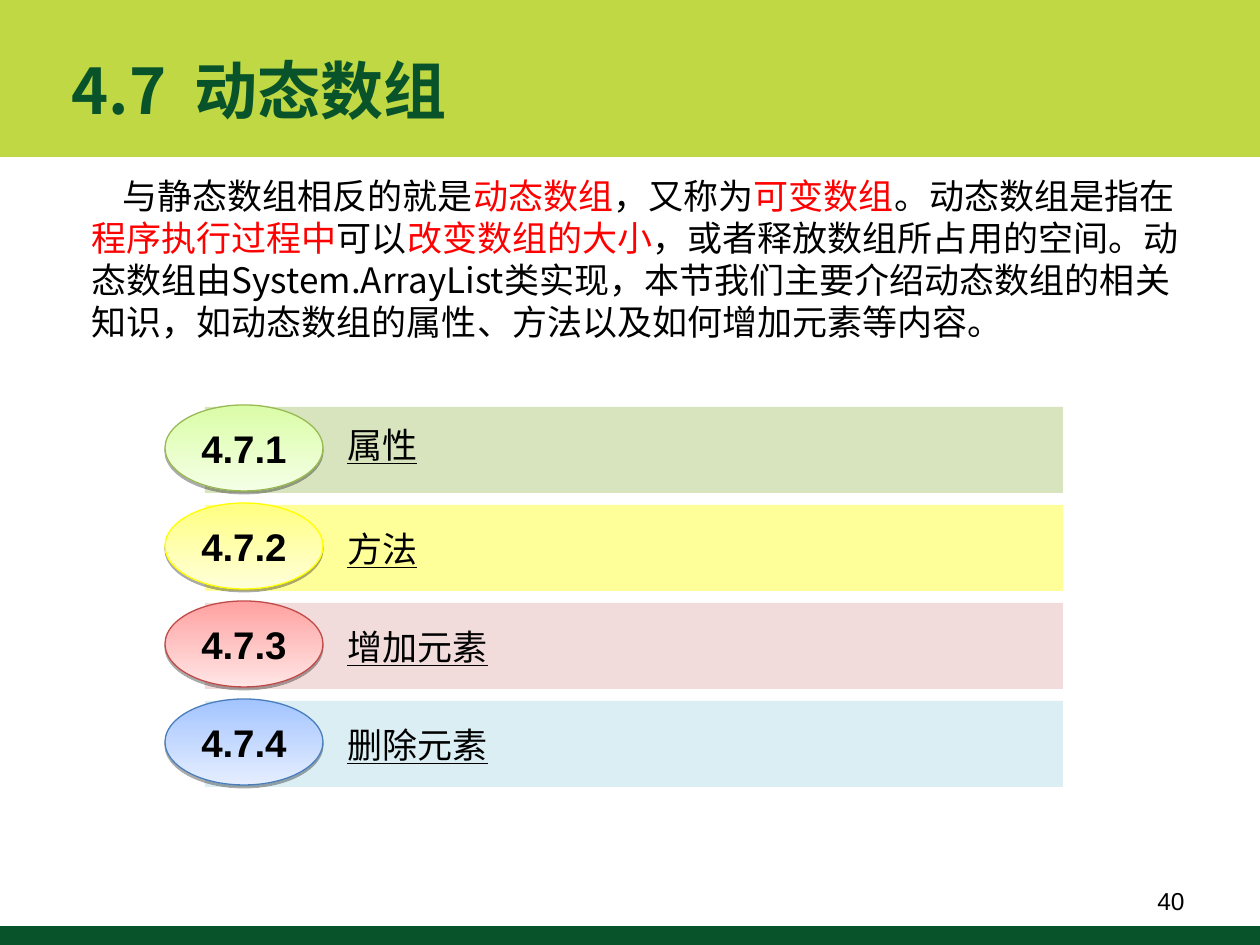
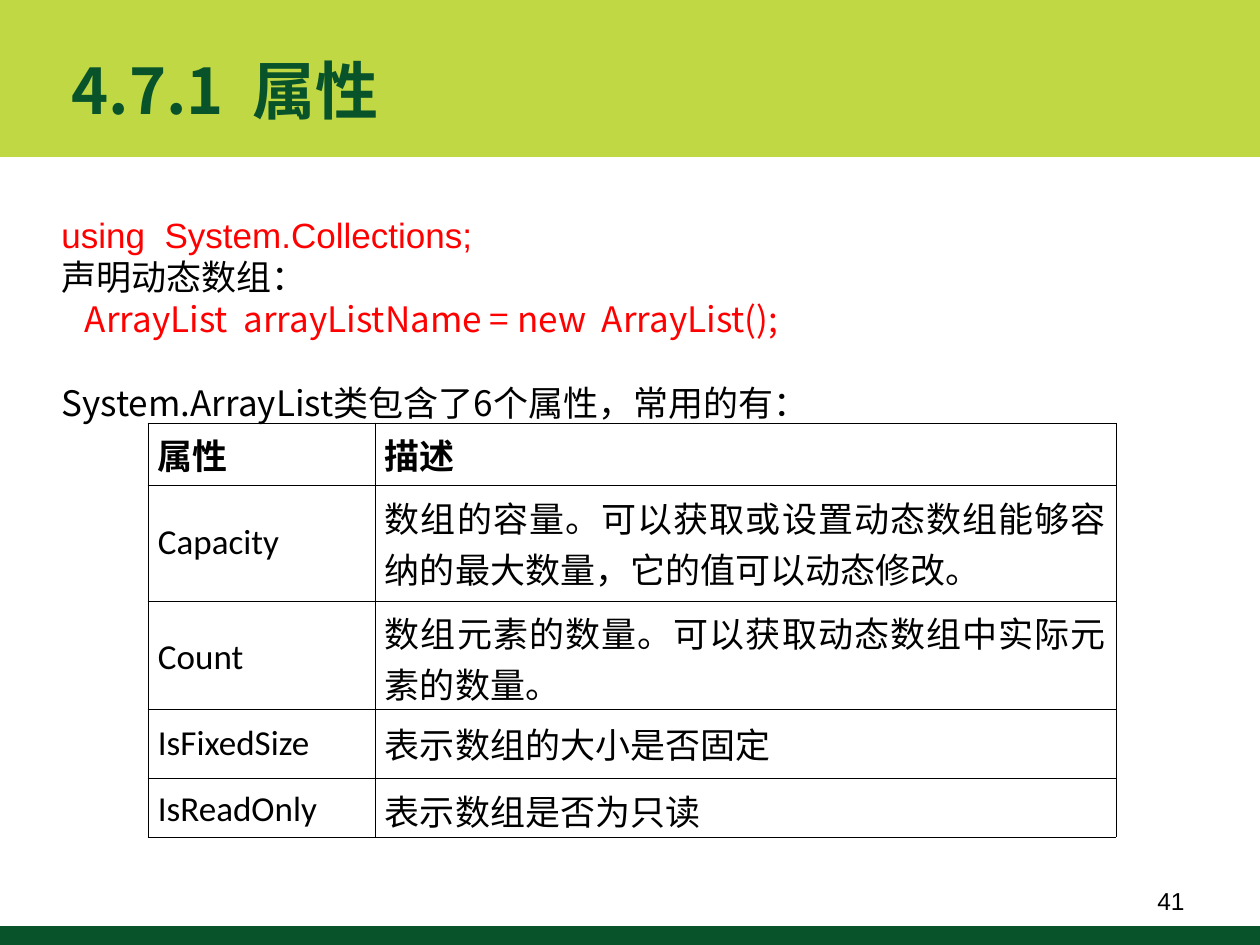
"""Builds two lesson slides about dynamic arrays."""
import dataclasses

import lxml.etree
import pptx
import pptx.dml.color
import pptx.enum.shapes
import pptx.enum.text
import pptx.oxml.ns
import pptx.util

SCALE = 914400 / 126
SHAPES = pptx.enum.shapes.MSO_SHAPE
ALIGN = pptx.enum.text.PP_ALIGN
MIDDLE = pptx.enum.text.MSO_ANCHOR.MIDDLE


@dataclasses.dataclass(frozen=True)
class Theme:
    """Holds the colours, fonts and type sizes of the deck."""
    lime: str = "BFD844"
    green: str = "09532A"
    black: str = "000000"
    red: str = "FF0000"
    chinese: str = "Noto Sans CJK SC"
    arial: str = "Arial"
    calibri: str = "Calibri"
    title: int = 36
    badge: int = 22
    body: int = 20
    page: int = 14
    line: int = 24


THEME = Theme()

SECTIONS = [
    ("4.7.1", "属性", 10, "D7E4BD", ("DAFDA7", "F5FFE6"), "98B954"),
    ("4.7.2", "方法", 16, "FFFF99", ("FFFF80", "FFFFDA"), "FFFF00"),
    ("4.7.3", "增加元素", 16, "F2DCDB", ("FFA2A1", "FFE5E5"), "BE4B48"),
    ("4.7.4", "删除元素", 16, "DBEEF4", ("A3C4FF", "E5EEFF"), "4A7EBB"),
]

INTRODUCTION = [
    ("与静态数组相反的就是", THEME.black),
    ("动态数组", THEME.red),
    ("，又称为", THEME.black),
    ("可变数组", THEME.red),
    ("。动态数组是指在", THEME.black),
    ("程序执行过程中", THEME.red),
    ("可以", THEME.black),
    ("改变数组的大小", THEME.red),
    ("，或者释放数组所占用的空间。动态数组由System.ArrayList类实现，"
     "本节我们主要介绍动态数组的相关知识，如动态数组的属性、方法以及如何增加元素等内容。",
     THEME.black),
]

DECLARATION = [
    ("using  System.Collections;", THEME.red, THEME.arial, 0),
    ("声明动态数组：", THEME.black, THEME.chinese, 0),
    ("   ArrayList  arrayListName = new  ArrayList();", THEME.red, THEME.chinese, 0),
    ("System.ArrayList类包含了6个属性，常用的有：", THEME.black, THEME.chinese, THEME.line),
]

PROPERTY_COLUMNS = (227, 741)
PROPERTY_ROWS = [
    (62, 5, "属性", "描述"),
    (116, 6, "Capacity", "数组的容量。可以获取或设置动态数组能够容纳的最大数量，它的值可以动态修改。"),
    (108, 0, "Count", "数组元素的数量。可以获取动态数组中实际元素的数量。"),
    (69, 6, "IsFixedSize", "表示数组的大小是否固定"),
    (59, 1, "IsReadOnly", "表示数组是否为只读"),
]


def px(length):
    """Turns px into EMU."""
    return pptx.util.Emu(round(length * SCALE))


def color(value):
    """Turns a hex string into a colour."""
    return pptx.dml.color.RGBColor.from_string(value)


def apply_format(target, **values):
    """Sets attributes from a dict of format values."""
    for name, value in values.items():
        setattr(target, name, value)


def add_element(parent, tag, **attributes):
    """Appends a drawing element with attributes."""
    element = lxml.etree.SubElement(parent, pptx.oxml.ns.qn(tag))
    for name, value in attributes.items():
        element.set(name, str(value))
    return element


def add_run(paragraph, text, size, ink=THEME.black, font=THEME.chinese, **values):
    """Adds a formatted run to a paragraph."""
    run = paragraph.add_run()
    run.text = text
    run.font.color.rgb = color(ink)
    apply_format(run.font, name=font, size=pptx.util.Pt(size), **values)
    add_element(run.font._element, "a:ea", typeface=THEME.chinese)


def add_textbox(slide, left, top, width, height, **values):
    """Adds a wrapping text box and returns its frame."""
    frame = slide.shapes.add_textbox(px(left), px(top), px(width), px(height)).text_frame
    apply_format(frame, word_wrap=True, **values)
    return frame


def add_filled_shape(shapes, kind, box, fill=None):
    """Adds a preset shape without outline or shadow."""
    shape = shapes.add_shape(kind, *map(px, box))
    shape.shadow.inherit = False
    shape.line.fill.background()
    if fill:
        shape.fill.solid()
        shape.fill.fore_color.rgb = color(fill)
    return shape


def add_base_slide(presentation, title, page):
    """Adds a slide with its bands, title and page number."""
    slide = presentation.slides.add_slide(presentation.slide_layouts[6])
    for top, height, fill in ((0, 157, THEME.lime), (926, 19, THEME.green)):
        add_filled_shape(slide.shapes, SHAPES.RECTANGLE, (0, top, 1260, height), fill)
    heading = add_textbox(slide, 59, 29, 1014, 120, vertical_anchor=MIDDLE)
    add_run(heading.paragraphs[0], title, THEME.title, THEME.green, bold=True)
    number = add_textbox(slide, 903, 876, 294, 50, vertical_anchor=MIDDLE).paragraphs[0]
    number.alignment = ALIGN.RIGHT
    add_run(number, str(page), THEME.page, font=THEME.arial)
    return slide


def add_badge(shapes, box, text, gradient, outline):
    """Adds a gradient oval with a number and a soft edge below."""
    badge = add_filled_shape(shapes, SHAPES.OVAL, box)
    badge.fill.gradient()
    badge.fill.gradient_angle = 270
    for stop, value in zip(badge.fill.gradient_stops, gradient):
        stop.color.rgb = color(value)
    badge.line.color.rgb = color(outline)
    badge.line.width = pptx.util.Pt(0.75)
    effects = badge._element.spPr.find(pptx.oxml.ns.qn("a:effectLst"))
    shadow = add_element(effects, "a:outerShdw", blurRad=0, dist=20000,
                         dir=5400000, rotWithShape=0)
    add_element(add_element(shadow, "a:srgbClr", val=THEME.black), "a:alpha", val=33000)
    apply_format(badge.text_frame, vertical_anchor=MIDDLE, word_wrap=True)
    paragraph = badge.text_frame.paragraphs[0]
    paragraph.alignment = ALIGN.CENTER
    add_run(paragraph, text, THEME.badge, font=THEME.arial, bold=True)


def add_section(slide, top, number, label, label_drop, fill, gradient, outline):
    """Adds one agenda row: bar, badge and underlined label."""
    group = slide.shapes.add_group_shape()
    add_filled_shape(group.shapes, SHAPES.RECTANGLE, (205, top, 858, 86), fill)
    add_badge(group.shapes, (165, top - 2, 158, 86), number, gradient, outline)
    paragraph = add_textbox(slide, 335, top + label_drop, 433, 55).paragraphs[0]
    paragraph.line_spacing = pptx.util.Pt(THEME.line)
    add_run(paragraph, label, THEME.body, underline=True)


def add_introduction(slide):
    """Adds the opening paragraph with its highlighted terms."""
    paragraph = add_textbox(slide, 79, 168, 1113, 181).paragraphs[0]
    paragraph.line_spacing = pptx.util.Pt(THEME.line)
    paragraph._p.get_or_add_pPr().set("indent", str(px(31)))
    for text, ink in INTRODUCTION:
        add_run(paragraph, text, THEME.body, ink)


def add_declaration(slide):
    """Adds the declaration lines above the table."""
    frame = add_textbox(slide, 49, 207, 1162, 223)
    for index, (text, ink, font, before) in enumerate(DECLARATION):
        paragraph = frame.add_paragraph() if index else frame.paragraphs[0]
        paragraph.line_spacing = pptx.util.Pt(THEME.line)
        if before:
            paragraph.space_before = pptx.util.Pt(before)
        add_run(paragraph, text, THEME.body, ink, font)


def add_borders(cell):
    """Draws thin black lines around a cell."""
    properties = cell._tc.get_or_add_tcPr()
    for index, side in enumerate(("a:lnL", "a:lnR", "a:lnT", "a:lnB")):
        line = add_element(properties, side, w=5715)
        add_element(add_element(line, "a:solidFill"), "a:srgbClr", val=THEME.black)
        properties.insert(index, line)


def add_property_table(slide):
    """Adds the table of properties and descriptions."""
    height = sum(row[0] for row in PROPERTY_ROWS)
    table = slide.shapes.add_table(len(PROPERTY_ROWS), len(PROPERTY_COLUMNS), px(148),
                                   px(423), px(sum(PROPERTY_COLUMNS)), px(height)).table
    apply_format(table, first_row=False, horz_banding=False)
    for column, width in zip(table.columns, PROPERTY_COLUMNS):
        column.width = px(width)
    for index, (row_height, bottom, *texts) in enumerate(PROPERTY_ROWS):
        table.rows[index].height = px(row_height)
        for cell, text in zip(table.rows[index].cells, texts):
            cell.fill.background()
            apply_format(cell, vertical_anchor=MIDDLE, margin_left=px(10),
                         margin_right=px(10), margin_top=px(6), margin_bottom=px(bottom))
            add_borders(cell)
            paragraph = cell.text_frame.paragraphs[0]
            paragraph.alignment = ALIGN.JUSTIFY
            font = THEME.calibri if text.isascii() or index == 0 else THEME.chinese
            add_run(paragraph, text, THEME.body, font=font, bold=index == 0)


def main():
    """Builds and saves the presentation."""
    presentation = pptx.Presentation()
    apply_format(presentation, slide_width=px(1260), slide_height=px(945))

    overview = add_base_slide(presentation, "4.7  动态数组", 40)
    add_introduction(overview)
    for index, section in enumerate(SECTIONS):
        add_section(overview, 407 + 98 * index, *section)

    properties = add_base_slide(presentation, "4.7.1  属性", 41)
    add_declaration(properties)
    add_property_table(properties)

    presentation.save("out.pptx")


if __name__ == "__main__":
    main()
